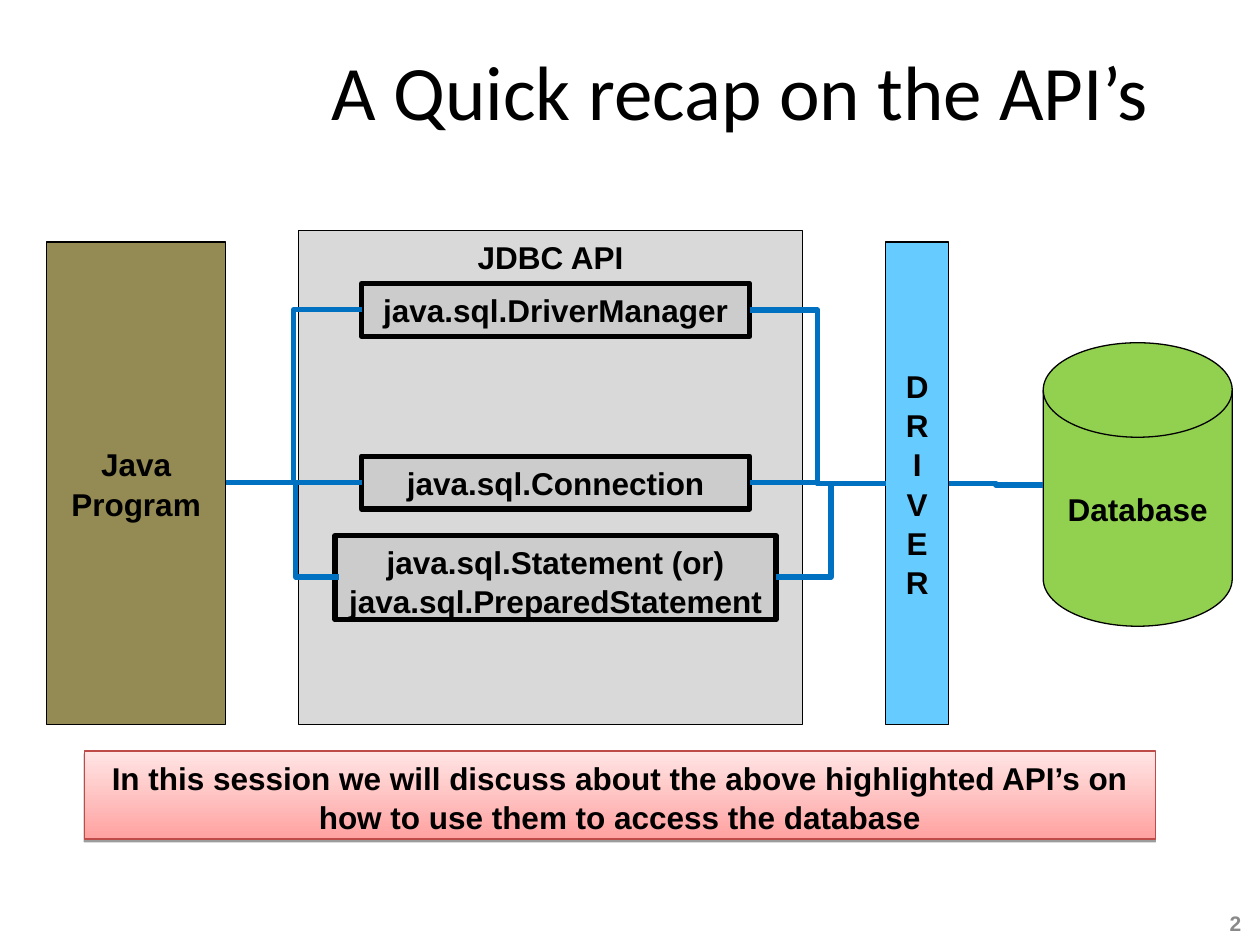
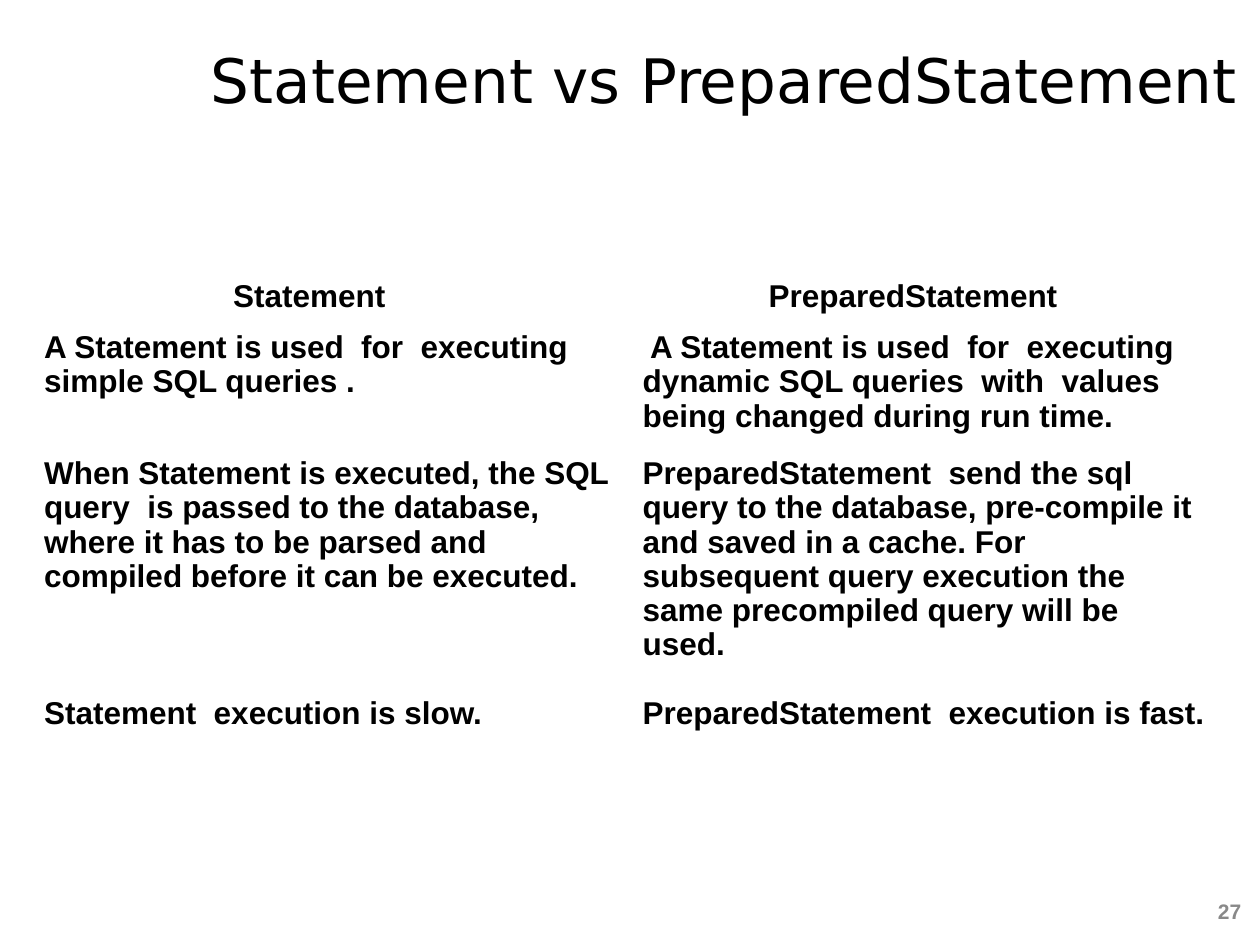
from lxml import etree
from pptx import Presentation
from pptx.dml.color import RGBColor
from pptx.enum.shapes import MSO_CONNECTOR, MSO_SHAPE
from pptx.enum.text import MSO_ANCHOR, PP_ALIGN
from pptx.oxml.ns import qn
from pptx.util import Pt

RECTANGLE, DISK = MSO_SHAPE.RECTANGLE, MSO_SHAPE.FLOWCHART_MAGNETIC_DISK
ELBOW = MSO_CONNECTOR.ELBOW
TOP, MIDDLE = MSO_ANCHOR.TOP, MSO_ANCHOR.MIDDLE
LEFT, CENTER, RIGHT = PP_ALIGN.LEFT, PP_ALIGN.CENTER, PP_ALIGN.RIGHT

PX = 9144  # EMU in one px, 100 px to the inch
TITLE_ONLY = 5
NO_TABLE_STYLE = "{2D5ABB26-0587-4C30-8999-92F81FD0307C}"
COLORS = {
    "black": "000000", "page number": "898989", "connector": "0070C0",
    "api": "D9D9D9", "interface": "CCCCCC", "program": "948A54",
    "driver": "66CCFF", "database": "92D050",
    "note bottom": "FFA2A1", "note top": "FFE5E5", "note line": "BE4B48",
}

# Content: title, its box and font, page number and its top
RECAP = dict(title="A Quick recap on the API’s", box=(175, 9, 825, 125),
             font="Calibri", size=44, number="2", number_top=715)
COMPARISON = dict(title="Statement vs PreparedStatement", box=(150, 0, 850, 125),
                  font="DejaVu Sans", size=35, number="27", number_top=706)

# Blocks: text, shape, box, fill, anchor
API_BOX = (237, 183, 400, 392)
PROGRAM_BOX = (37, 192, 142, 383)
DRIVER_BOX = (703, 192, 50, 383)
DATABASE_BOX = (828, 272, 150, 225)
BLOCKS = [
    ("JDBC API", RECTANGLE, API_BOX, "api", TOP),
    ("Database", DISK, DATABASE_BOX, "database", MIDDLE),
    ("Java\nProgram", RECTANGLE, PROGRAM_BOX, "program", MIDDLE),
    ("\n".join("DRIVER"), RECTANGLE, DRIVER_BOX, "driver", MIDDLE),
]
# Interfaces: text, top, width, height, inset of the left line, left bend
INTERFACES = [
    ("java.sql.DriverManager", 225, 308, 42, 0, 0.5),
    ("java.sql.Connection", 362, 308, 42, 0, 0.5),
    ("java.sql.Statement (or)\njava.sql.PreparedStatement", 425, 350, 67, 3, 0.62),
]
NOTE = ("In this session we will discuss about the above highlighted API’s on "
        "how to use them to access the database")
NOTE_BOX = (67, 596, 850, 70)

TABLE_BOX = (25, 217, 942, 393)
COLUMN_WIDTHS = [475, 467]
ROW_HEIGHTS = [41, 100, 190, 62]
HEADER_INDENTS = [150, 100]
ROWS = [
    ("Statement", "PreparedStatement"),
    ("A Statement is used  for  executing simple SQL queries .",
     " A Statement is used  for  executing  dynamic SQL queries  with  values "
     "being changed during run time."),
    ("When Statement is executed, the SQL query  is passed to the database, "
     "where it has to be parsed and compiled before it can be executed.",
     "PreparedStatement  send the sql query to the database, pre-compile it "
     "and saved in a cache. For subsequent query execution the same "
     "precompiled query will be used."),
    ("Statement  execution is slow.", "PreparedStatement  execution is fast."),
]


def color(name):
    return RGBColor.from_string(COLORS[name])


def scaled(box):
    return [value * PX for value in box]


def write(frame, text, *, font="Arial", size=18, bold=True, fill="black",
          align=CENTER, anchor=TOP, spacing=1.0, indent=0):
    frame.word_wrap = True
    frame.vertical_anchor = anchor
    for index, line in enumerate(text.split("\n")):
        paragraph = frame.paragraphs[0] if index == 0 else frame.add_paragraph()
        paragraph.alignment = align
        paragraph.line_spacing = spacing
        if indent:
            paragraph._p.get_or_add_pPr().set("marL", str(indent * PX))
        run = paragraph.add_run()
        run.text = line
        run.font.name, run.font.size, run.font.bold = font, Pt(size), bold
        run.font.color.rgb = color(fill)


def add_page(presentation, page):
    """Add a slide with its title and page number."""
    slide = presentation.slides.add_slide(presentation.slide_layouts[TITLE_ONLY])
    title = slide.shapes.title
    title.left, title.top, title.width, title.height = scaled(page["box"])
    write(title.text_frame, page["title"], font=page["font"], size=page["size"],
          bold=False, anchor=MIDDLE)
    number = slide.shapes.add_textbox(*scaled((946, page["number_top"], 49, 35)))
    write(number.text_frame, page["number"], size=12, fill="page number",
          align=RIGHT, anchor=MIDDLE)
    return slide


def add_block(slide, text, kind, box, fill, anchor=TOP, line="black", weight=0.75):
    shape = slide.shapes.add_shape(kind, *scaled(box))
    shape.shadow.inherit = False
    if fill:
        shape.fill.solid()
        shape.fill.fore_color.rgb = color(fill)
    shape.line.color.rgb = color(line)
    shape.line.width = Pt(weight)
    write(shape.text_frame, text, anchor=anchor, spacing=1.04)
    return shape


def connect(slide, start, end, bend=0.5):
    connector = slide.shapes.add_connector(ELBOW, *scaled(start + end))
    connector.line.color.rgb = color("connector")
    connector.line.width = Pt(3)
    properties = connector._element.spPr
    etree.SubElement(properties, qn("a:effectLst"))
    guides = properties.find(qn("a:prstGeom")).get_or_add_avLst()
    etree.SubElement(guides, qn("a:gd"), name="adj1", fmla=f"val {round(bend * 100000)}")


def add_note(slide):
    note = add_block(slide, NOTE, RECTANGLE, NOTE_BOX, None, line="note line")
    note.fill.gradient()
    note.fill.gradient_angle = 90
    for stop, name, position in zip(note.fill.gradient_stops,
                                    ("note bottom", "note top"), (0, 1)):
        stop.color.rgb = color(name)
        stop.position = position
    effects = note._element.spPr.find(qn("a:effectLst"))
    shadow = etree.SubElement(effects, qn("a:outerShdw"), blurRad="0",
                              dist=str(Pt(1.6)), dir="5400000", rotWithShape="0")
    shade = etree.SubElement(shadow, qn("a:srgbClr"), val=COLORS["black"])
    etree.SubElement(shade, qn("a:alpha"), val="38000")


def build_recap(presentation):
    slide = add_page(presentation, RECAP)
    for block in BLOCKS:
        add_block(slide, *block)

    # Interfaces, centred in the API block
    api_center = API_BOX[0] + API_BOX[2] // 2 + 4
    boxes = []
    for text, top, width, height, _, _ in INTERFACES:
        box = (api_center - width // 2, top, width, height)
        add_block(slide, text, RECTANGLE, box, "interface", weight=3)
        boxes.append(box)

    # Lines from the program through the interfaces to the driver and database
    program_right = PROGRAM_BOX[0] + PROGRAM_BOX[2]
    driver_left, driver_right = DRIVER_BOX[0], DRIVER_BOX[0] + DRIVER_BOX[2]
    trunk = DRIVER_BOX[1] + DRIVER_BOX[3] // 2
    for (left, top, width, height), (*_, inset, bend) in zip(boxes, INTERFACES):
        middle = top + height // 2
        connect(slide, (program_right, trunk), (left + inset, middle), bend)
        connect(slide, (left + width, middle), (driver_left, trunk + 1))
    connect(slide, (driver_right, trunk + 1), (DATABASE_BOX[0], trunk + 2))
    add_note(slide)


def build_comparison(presentation):
    slide = add_page(presentation, COMPARISON)
    table = slide.shapes.add_table(len(ROWS), len(COLUMN_WIDTHS),
                                   *scaled(TABLE_BOX)).table
    table.first_row = table.horz_banding = False
    table._tbl.tblPr.find(qn("a:tableStyleId")).text = NO_TABLE_STYLE
    for column, width in zip(table.columns, COLUMN_WIDTHS):
        column.width = width * PX
    for row_index, (row, height, texts) in enumerate(zip(table.rows, ROW_HEIGHTS, ROWS)):
        row.height = height * PX
        for cell, text, indent in zip(row.cells, texts, HEADER_INDENTS):
            cell.fill.background()
            cell.vertical_anchor = TOP
            write(cell.text_frame, text, align=LEFT, spacing=0.97,
                  indent=0 if row_index else indent)


def main():
    presentation = Presentation()
    presentation.slide_width, presentation.slide_height = scaled((1000, 750))
    build_recap(presentation)
    build_comparison(presentation)
    presentation.save("out.pptx")


if __name__ == "__main__":
    main()
